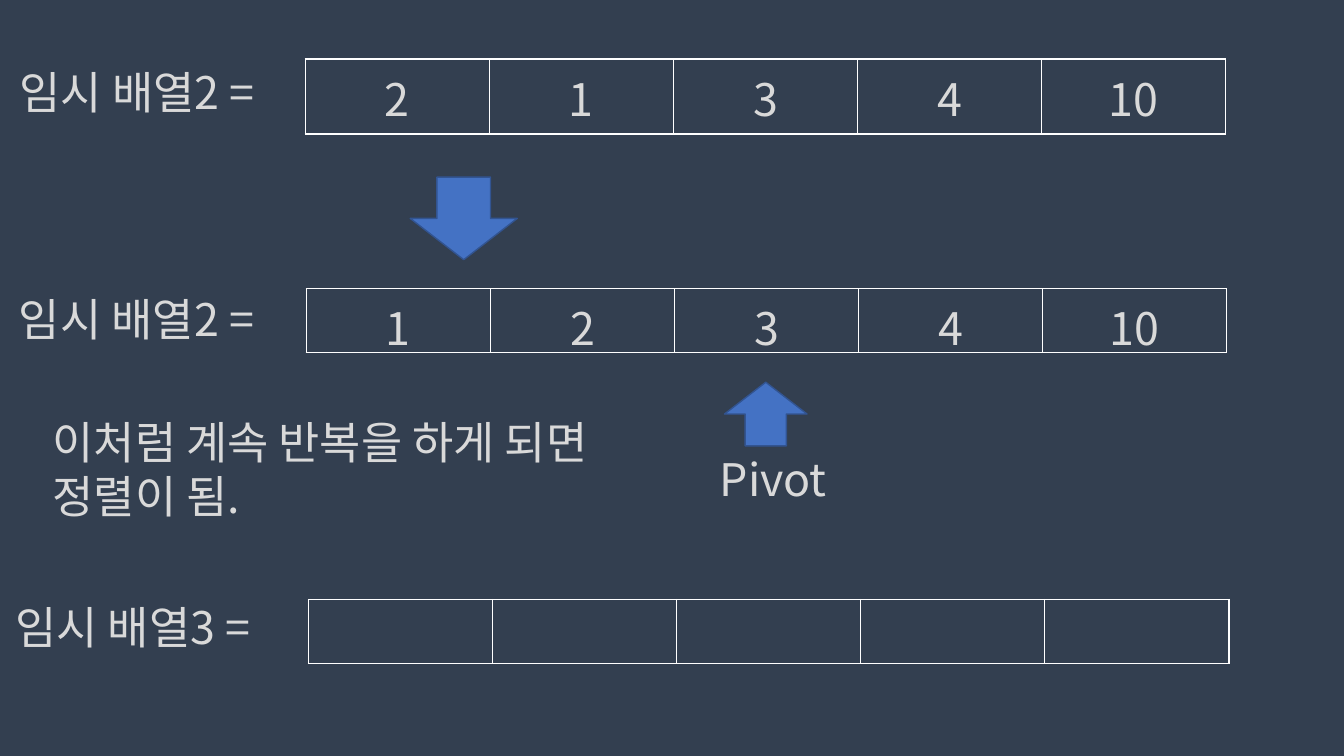
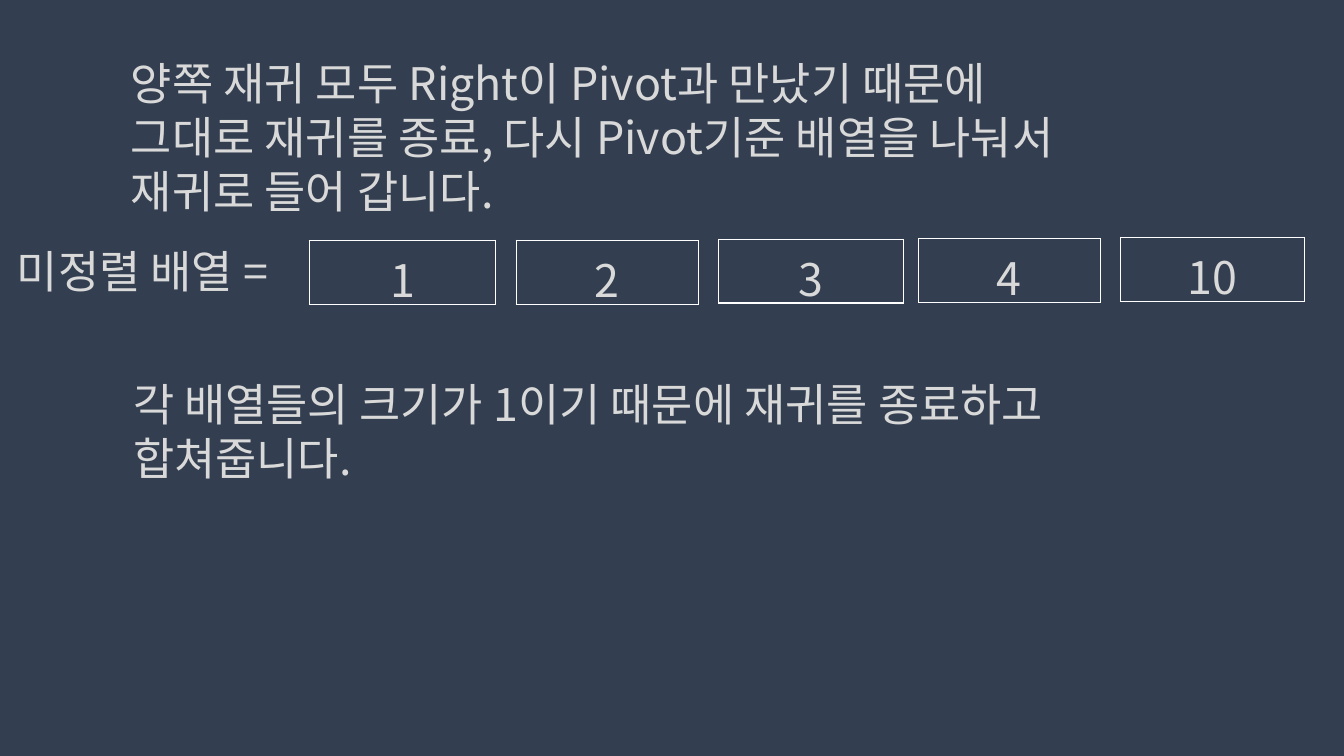
import pptx
import pptx.util
import pptx.dml.color
import pptx.enum.shapes
import pptx.enum.text
import pptx.oxml
import lxml.etree
from dataclasses import dataclass

Pt = pptx.util.Pt
ARROWS = pptx.enum.shapes.MSO_SHAPE


@dataclass(frozen=True)
class Theme:
    background: str = "333F50"
    text: str = "D9D9D9"
    grid: str = "FFFFFF"
    arrow: str = "4472C4"
    arrow_edge: str = "325491"
    font: str = "Noto Sans CJK KR"
    size: int = 32
    line_width: int = 1
    cell_width: float = 131.5
    row_height: float = 45.6
    label_width: int = 224


THEME = Theme()

SLIDES = [
    {
        "texts": [
            ("임시 배열2 =", 7, 42.5, THEME.label_width, 46),
            ("임시 배열2 =", 6.5, 205, THEME.label_width, 46),
            ("이처럼 계속 반복을 하게 되면 정렬이 됨.", 30.5, 292.5, 441, 85),
            ("임시 배열3 =", 4, 425, THEME.label_width, 46),
            ("Pivot", 507, 319, THEME.label_width, 46),
        ],
        "arrays": [
            (["2", "1", "3", "4", "10"], 218, 42.2, THEME.cell_width, 53.5),
            (["1", "2", "3", "4", "10"], 218.8, 206.2, THEME.cell_width, THEME.row_height),
            ([""] * 5, 220.3, 428.2, THEME.cell_width, THEME.row_height),
        ],
        "arrows": [
            (ARROWS.DOWN_ARROW, 293, 126.5, 76.5, 59),
            (ARROWS.UP_ARROW, 517.5, 273, 59, 45.5),
        ],
    },
    {
        "texts": [
            ("양쪽 재귀 모두 Right이 Pivot과 만났기 때문에 그대로 재귀를 종료, "
             "다시 Pivot기준 배열을 나눠서 재귀로 들어 갑니다.", 86.5, 36.5, 701, 124),
            ("미정렬 배열 =", 5, 170.5, THEME.label_width, 46),
            ("각 배열들의 크기가 1이기 때문에 재귀를 종료하고 합쳐줍니다.", 88, 265.5, 701, 85),
        ],
        "arrays": [
            (["1"], 221, 171.8, 133, THEME.row_height),
            (["2"], 368.8, 171.8, 130, THEME.row_height),
            (["3"], 513.4, 170.8, 132, THEME.row_height),
            (["4"], 656, 170.6, 130, THEME.row_height),
            (["10"], 800.4, 169.7, THEME.cell_width, THEME.row_height),
        ],
        "arrows": [],
    },
]


def rgb(value):
    return pptx.dml.color.RGBColor.from_string(value)


def style_text(frame):
    for paragraph in frame.paragraphs:
        for run in paragraph.runs:
            run.font.size = Pt(THEME.size)
            run.font.name = THEME.font
            run.font.color.rgb = rgb(THEME.text)
            east_asian = lxml.etree.SubElement(
                run.font._element, pptx.oxml.ns.qn("a:ea"))
            east_asian.set("typeface", THEME.font)


def add_text(slide, wording, left, top, width, height):
    box = slide.shapes.add_textbox(Pt(left), Pt(top), Pt(width), Pt(height))
    frame = box.text_frame
    frame.word_wrap = True
    frame.auto_size = pptx.enum.text.MSO_AUTO_SIZE.SHAPE_TO_FIT_TEXT
    frame.text = wording
    style_text(frame)


def border_cell(cell):
    properties = cell._tc.get_or_add_tcPr()
    namespace = pptx.oxml.ns.nsdecls("a")
    for position, side in enumerate(("lnL", "lnR", "lnT", "lnB")):
        properties.insert(position, pptx.oxml.parse_xml(
            f'<a:{side} {namespace} w="{Pt(THEME.line_width)}"><a:solidFill>'
            f'<a:srgbClr val="{THEME.grid}"/></a:solidFill></a:{side}>'))


def add_array(slide, values, left, top, cell_width, row_height):
    holder = slide.shapes.add_table(
        1, len(values), Pt(left), Pt(top), Pt(cell_width * len(values)), Pt(row_height))
    array = holder.table
    array.first_row = array.horz_banding = False
    for column, value in enumerate(values):
        array.columns[column].width = Pt(cell_width)
        cell = array.cell(0, column)
        cell.fill.background()
        cell.vertical_anchor = pptx.enum.text.MSO_ANCHOR.MIDDLE
        cell.text_frame.text = value
        cell.text_frame.paragraphs[0].alignment = pptx.enum.text.PP_ALIGN.CENTER
        style_text(cell.text_frame)
        border_cell(cell)


def add_arrow(slide, preset, left, top, width, height):
    arrow = slide.shapes.add_shape(preset, Pt(left), Pt(top), Pt(width), Pt(height))
    arrow.shadow.inherit = False
    arrow.fill.solid()
    arrow.fill.fore_color.rgb = rgb(THEME.arrow)
    arrow.line.color.rgb = rgb(THEME.arrow_edge)
    arrow.line.width = Pt(THEME.line_width)


def main():
    deck = pptx.Presentation()
    deck.slide_width, deck.slide_height = Pt(960), Pt(540)
    for content in SLIDES:
        slide = deck.slides.add_slide(deck.slide_layouts[6])
        slide.background.fill.solid()
        slide.background.fill.fore_color.rgb = rgb(THEME.background)
        for part, add_part in (
            ("texts", add_text), ("arrays", add_array), ("arrows", add_arrow)
        ):
            for details in content[part]:
                add_part(slide, *details)


    deck.save("out.pptx")


if __name__ == "__main__":
    main()
